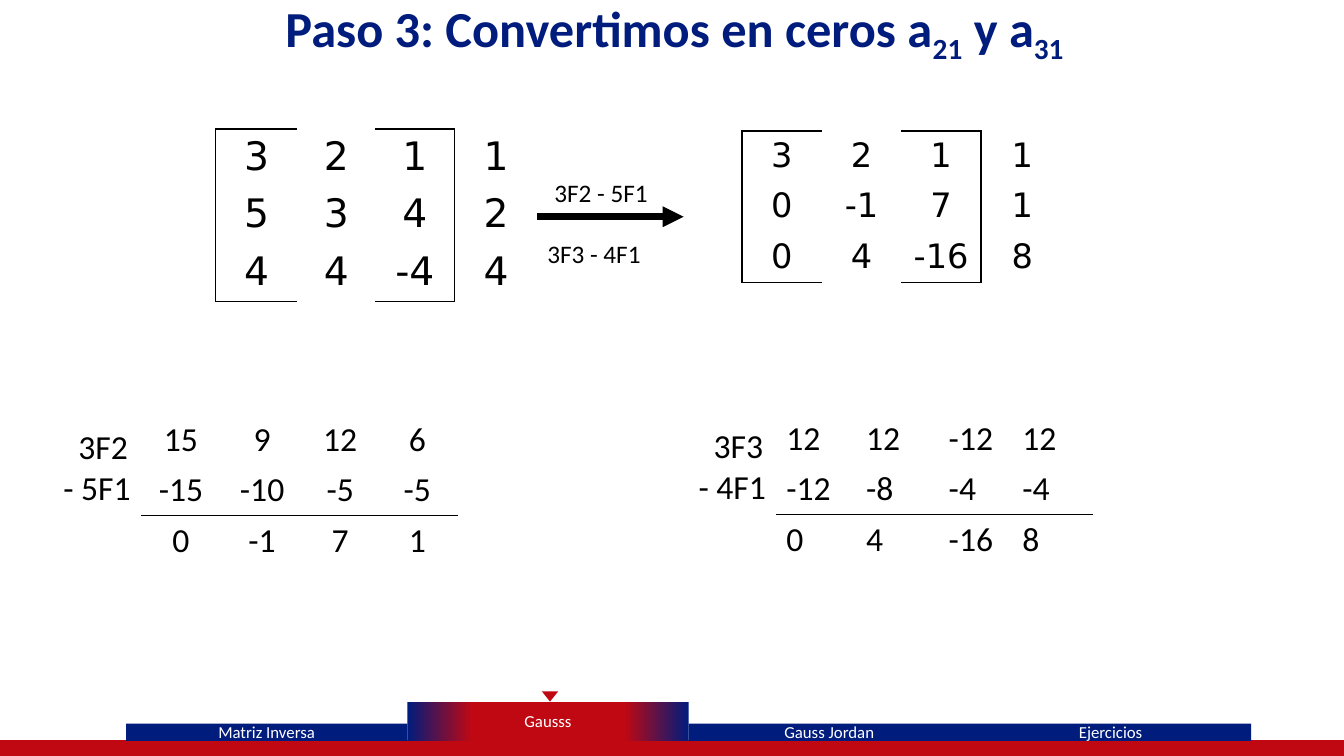
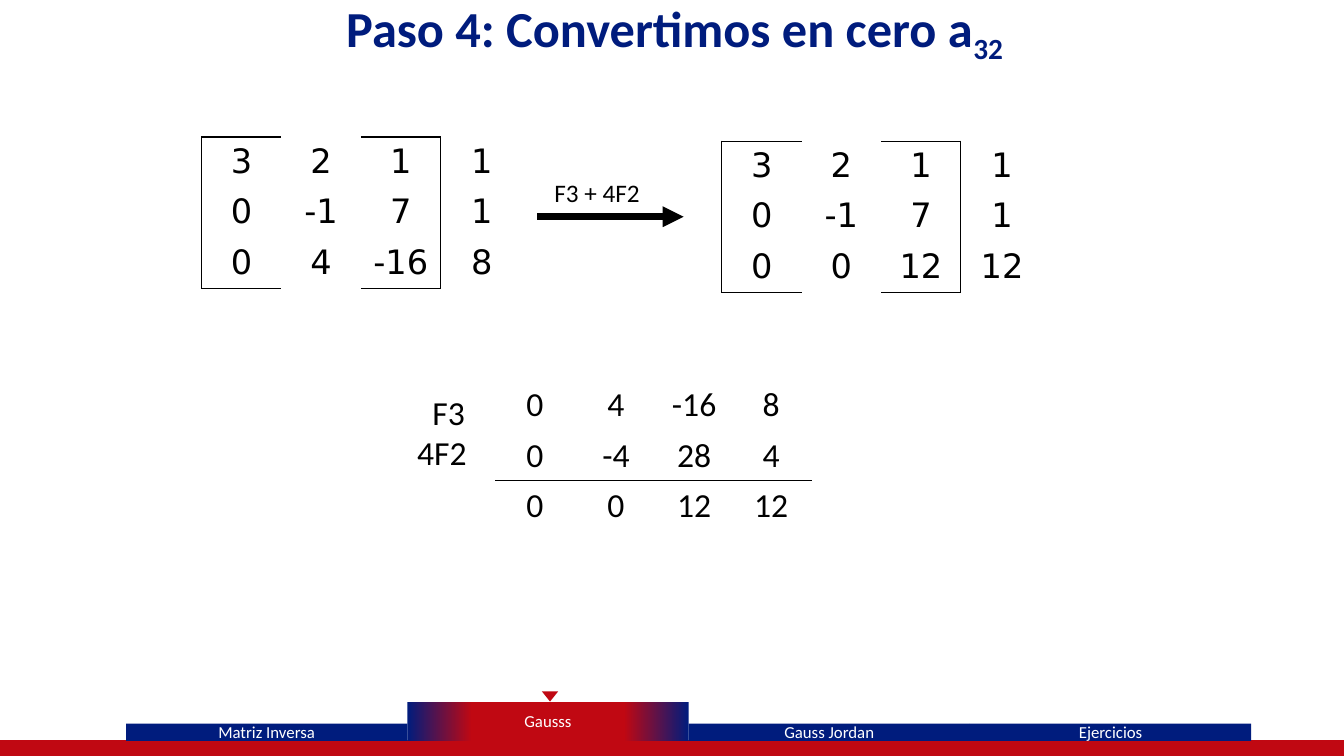
from dataclasses import dataclass

from lxml.etree import SubElement
from pptx import Presentation
from pptx.dml.color import RGBColor
from pptx.enum.shapes import MSO_CONNECTOR, MSO_SHAPE
from pptx.enum.text import MSO_ANCHOR, PP_ALIGN
from pptx.oxml.ns import qn
from pptx.util import Inches, Pt


@dataclass(frozen=True)
class Theme:
    navy: str = "001C7D"
    red: str = "C00812"
    outline: str = "36147C"
    ink: str = "000000"
    paper: str = "FFFFFF"
    font: str = "Calibri"
    matrix_font: str = "DejaVu Sans"
    title: int = 36
    matrix_large: int = 28
    body: int = 24
    step: int = 18
    tab: int = 12


THEME = Theme()
TABS = ["Matriz Inversa", "Gausss", "Gauss Jordan", "Ejercicios"]
ACTIVE_TAB = 1
MATRIX_WIDTHS = [0.79, 0.79, 0.79, 0.82]
SUM_WIDTHS = [0.79, 0.82, 0.73, 0.8]


def rgb(color):
    return RGBColor.from_string(color)


def add_run(paragraph, text, size, color=THEME.ink, font=THEME.font, bold=False):
    run = paragraph.add_run()
    run.text = text
    run.font.size = Pt(size)
    run.font.name = font
    run.font.bold = bold
    run.font.color.rgb = rgb(color)
    return run


def add_solid_color(parent, color):
    fill = SubElement(parent, qn("a:solidFill"))
    SubElement(fill, qn("a:srgbClr"), val=color)


def add_box(slide, kind, left, top, width, height, color):
    shape = slide.shapes.add_shape(
        kind, Inches(left), Inches(top), Inches(width), Inches(height)
    )
    shape.shadow.inherit = False
    shape.fill.solid()
    shape.fill.fore_color.rgb = rgb(color)
    shape.line.fill.background()
    return shape


def add_text_box(slide, left, top, width, height):
    shape = slide.shapes.add_textbox(
        Inches(left), Inches(top), Inches(width), Inches(height)
    )
    shape.text_frame.word_wrap = True
    return shape.text_frame


def fill_with_gradient(shape, stops):
    shape.fill.gradient()
    shape.fill.gradient_angle = 0
    stop_list = shape._element.spPr.find(qn("a:gradFill")).find(qn("a:gsLst"))
    for stop in list(stop_list):
        stop_list.remove(stop)
    for position, color in stops:
        stop = SubElement(stop_list, qn("a:gs"), pos=str(position * 1000))
        SubElement(stop, qn("a:srgbClr"), val=color)


def add_footer(slide, left=1.25, bottom=7.35, tab_width=2.79):
    band = add_box(
        slide, MSO_SHAPE.FLOWCHART_PROCESS, -0.01, bottom, 13.35, 0.15, THEME.red
    )
    band.line.color.rgb = rgb(THEME.red)
    band.line.width = Pt(1)
    for index, name in enumerate(TABS):
        active = index == ACTIVE_TAB
        height = 0.39 if active else 0.17
        tab_left = left + index * tab_width
        tab = add_box(
            slide, MSO_SHAPE.RECTANGLE, tab_left, bottom - height,
            tab_width, height, THEME.navy,
        )
        frame = tab.text_frame
        frame.margin_top = frame.margin_bottom = 0
        frame.vertical_anchor = MSO_ANCHOR.MIDDLE
        paragraph = frame.paragraphs[0]
        paragraph.alignment = PP_ALIGN.CENTER
        add_run(paragraph, name, THEME.tab, THEME.paper)
        if active:
            fill_with_gradient(tab, [
                (0, THEME.navy), (23, THEME.red), (77, THEME.red), (100, THEME.navy)
            ])
            marker = add_box(
                slide, MSO_SHAPE.ISOSCELES_TRIANGLE,
                tab_left + tab_width / 2 - 0.06, bottom - height - 0.1,
                0.16, 0.1, THEME.red,
            )
            marker.rotation = 180


def add_title(slide, parts):
    paragraph = add_text_box(slide, 0.38, -0.08, 12.62, 0.71).paragraphs[0]
    paragraph.alignment = PP_ALIGN.CENTER
    for index, text in enumerate(parts):
        run = add_run(paragraph, text, THEME.title, THEME.navy, bold=True)
        properties = run._r.get_or_add_rPr()
        outline = SubElement(properties, qn("a:ln"), w=str(Pt(0.75)))
        add_solid_color(outline, THEME.outline)
        properties.insert(0, outline)
        if index % 2:
            properties.set("baseline", "-25000")


def set_borders(cell, edges):
    properties = cell._tc.get_or_add_tcPr()
    for position, edge in enumerate("LRTB"):
        line = SubElement(properties, qn("a:ln" + edge), w=str(Pt(1)))
        if edge in edges:
            add_solid_color(line, THEME.ink)
        else:
            SubElement(line, qn("a:noFill"))
        properties.insert(position, line)


def add_number_table(slide, left, top, rows, widths, row_height, edges_at,
                     size=THEME.body, font=THEME.font, alignment=PP_ALIGN.CENTER):
    table = slide.shapes.add_table(
        len(rows), len(widths), Inches(left), Inches(top),
        Inches(sum(widths)), Inches(row_height * len(rows)),
    ).table
    table.first_row = False
    table.horz_banding = False
    for column, width in zip(table.columns, widths):
        column.width = Inches(width)
    for row_index, values in enumerate(rows):
        table.rows[row_index].height = Inches(row_height)
        for column_index, value in enumerate(values.split()):
            cell = table.cell(row_index, column_index)
            cell.fill.background()
            set_borders(cell, edges_at(row_index, column_index))
            paragraph = cell.text_frame.paragraphs[0]
            paragraph.alignment = alignment
            add_run(paragraph, value, size, font=font)


def bracket_edges(row, column):
    edges = {0: "L", 2: "R", 3: "L"}.get(column, "")
    if column in (0, 2):
        edges += {0: "T", 2: "B"}.get(row, "")
    return edges


def sum_edges(row, column):
    return {1: "B", 2: "T"}.get(row, "")


def add_matrix(slide, left, top, rows, widths=MATRIX_WIDTHS, row_height=0.5,
               size=THEME.body):
    add_number_table(slide, left, top, rows, widths, row_height, bracket_edges,
                     size, THEME.matrix_font)


def add_row_sum(slide, left, top, labels, rows, alignment=PP_ALIGN.CENTER):
    add_number_table(slide, left + 0.87, top, rows, SUM_WIDTHS, 0.5, sum_edges,
                     alignment=alignment)
    frame = add_text_box(slide, left, top + 0.07, 1.44, 0.91)
    first = frame.paragraphs[0]
    first._p.get_or_add_pPr().set("marL", str(Inches(0.15)))
    add_run(first, labels[0], THEME.body)
    add_run(frame.add_paragraph(), labels[1], THEME.body)


def add_row_operation(slide, above, below=None, left=5.33, top=2.15):
    arrow = slide.shapes.add_connector(
        MSO_CONNECTOR.STRAIGHT, Inches(left), Inches(top),
        Inches(left + 1.45), Inches(top),
    )
    arrow.line.color.rgb = rgb(THEME.ink)
    arrow.line.width = Pt(5)
    SubElement(arrow.line._get_or_add_ln(), qn("a:tailEnd"), type="triangle")
    SubElement(arrow._element.spPr, qn("a:effectLst"))
    for text, x, y in [(above, 0.07, -0.44), (below, 0, 0.17)]:
        if text:
            frame = add_text_box(slide, left + x, top + y, 1.41, 0.4)
            add_run(frame.paragraphs[0], text, THEME.step)


def add_step_slide(presentation, title_parts):
    slide = presentation.slides.add_slide(presentation.slide_layouts[6])
    add_footer(slide)
    add_title(slide, title_parts)
    return slide


def build_step_three(presentation):
    slide = add_step_slide(
        presentation, ["Paso 3: Convertimos en ceros a", "21", " y a", "31"]
    )
    add_matrix(slide, 2.14, 1.28, ["3 2 1 1", "5 3 4 2", "4 4 -4 4"],
               [0.81, 0.77, 0.79, 0.82], 0.57, THEME.matrix_large)
    add_row_operation(slide, "3F2 - 5F1", "3F3 - 4F1")
    add_matrix(slide, 7.36, 1.3, ["3 2 1 1", "0 -1 7 1", "0 4 -16 8"])
    add_row_sum(slide, 0.53, 4.11, ["3F2", "- 5F1"],
                ["15 9 12 6", "-15 -10 -5 -5", "0 -1 7 1"])
    add_row_sum(slide, 6.83, 4.1, ["3F3", "- 4F1"],
                ["12 12 -12 12", "-12 -8 -4 -4", "0 4 -16 8"], PP_ALIGN.LEFT)


def build_step_four(presentation):
    slide = add_step_slide(presentation, ["Paso 4: Convertimos en cero a", "32"])
    add_matrix(slide, 2, 1.36, ["3 2 1 1", "0 -1 7 1", "0 4 -16 8"])
    add_row_operation(slide, "F3 + 4F2")
    add_matrix(slide, 7.16, 1.4, ["3 2 1 1", "0 -1 7 1", "0 0 12 12"])
    add_row_sum(slide, 4.04, 3.77, ["F3", "4F2"],
                ["0 4 -16 8", "0 -4 28 4", "0 0 12 12"])


def main():
    presentation = Presentation()
    presentation.slide_width = Inches(13.33)
    presentation.slide_height = Inches(7.5)
    build_step_three(presentation)
    build_step_four(presentation)
    presentation.save("out.pptx")


if __name__ == "__main__":
    main()
